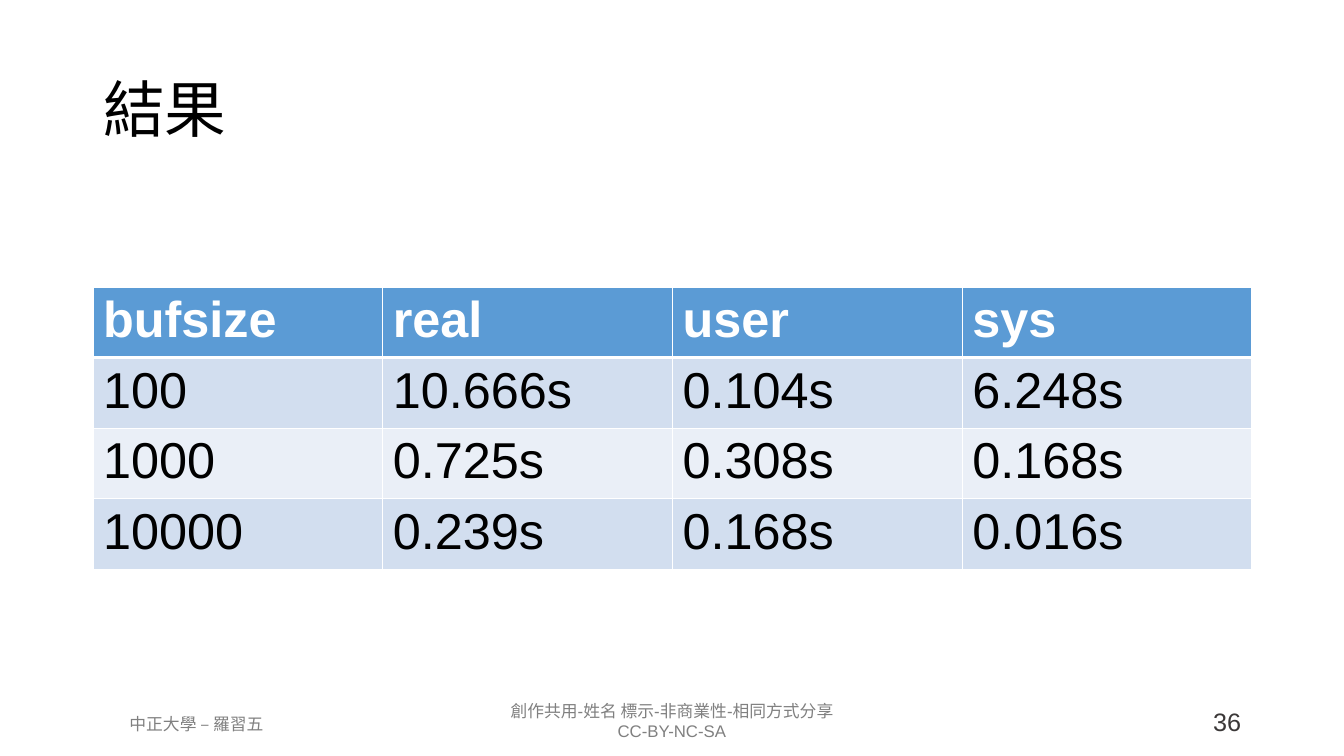
import pptx
import pptx.dml.color
import pptx.enum.text
import pptx.oxml.ns
import pptx.util
from lxml import etree

ALIGN = pptx.enum.text.PP_ALIGN
LATIN, CJK = "Arial", "Noto Sans CJK SC"
WHITE, BLACK = "FFFFFF", "000000"
HEADER_FILL, BAND_FILLS = "5B9BD5", ("D2DEEF", "EAEFF7")

SLIDE_SIZE = (1344, 756)
TITLE = "結果"
TITLE_BOX = (93, 40, 1159, 146)
TIMINGS = [
    ("bufsize", "real", "user", "sys"),
    ("100", "10.666s", "0.104s", "6.248s"),
    ("1000", "0.725s", "0.308s", "0.168s"),
    ("10000", "0.239s", "0.168s", "0.016s"),
]
TABLE_LEFT, TABLE_TOP, TABLE_WIDTH, ROW_HEIGHT = 93, 287, 1159, 66
# text, box, alignment, size in points, colour
FOOTERS = [
    ("創作共用-姓名 標示-非商業性-相同方式分享\nCC-BY-NC-SA",
     (424, 696, 496, 50), ALIGN.CENTER, 12, "808080"),
    ("中正大學 – 羅習五", (70, 709, 253, 30), ALIGN.CENTER, 12, "808080"),
    ("36", (1004, 701, 247, 40), ALIGN.RIGHT, 18, "3B3838"),
]


def px(length):
    return pptx.util.Emu(round(length * 914400 / 100.8))


def color(value):
    return pptx.dml.color.RGBColor.from_string(value)


def add_element(parent, tag, **attributes):
    return etree.SubElement(parent, pptx.oxml.ns.qn(tag), attributes)


def style_text(frame, size, text_color, align=ALIGN.LEFT, bold=False, latin=LATIN):
    for paragraph in frame.paragraphs:
        paragraph.alignment = align
        for run in paragraph.runs:
            run.font.size = pptx.util.Pt(size)
            run.font.bold = bold
            run.font.name = latin
            run.font.color.rgb = color(text_color)
            add_element(run.font._element, "a:ea", typeface=CJK)


def add_borders(cell, is_header, below_header):
    """Draw white cell edges, heavy between the header and the first row."""
    heavy_side = "B" if is_header else "T" if below_header else None
    for side in "LRTB":
        width = pptx.util.Pt(3 if side == heavy_side else 1)
        edge = add_element(cell._tc.get_or_add_tcPr(), f"a:ln{side}", w=str(width))
        add_element(add_element(edge, "a:solidFill"), "a:srgbClr", val=WHITE)


def add_timings(slide):
    rows, columns = len(TIMINGS), len(TIMINGS[0])
    table = slide.shapes.add_table(
        rows, columns, px(TABLE_LEFT), px(TABLE_TOP),
        px(TABLE_WIDTH), px(ROW_HEIGHT * rows)).table
    for r, values in enumerate(TIMINGS):
        is_header = r == 0
        fill = HEADER_FILL if is_header else BAND_FILLS[(r - 1) % 2]
        for c, value in enumerate(values):
            cell = table.cell(r, c)
            cell.text_frame.text = value
            style_text(cell.text_frame, 36, WHITE if is_header else BLACK, bold=is_header)
            add_borders(cell, is_header, r == 1)
            cell.fill.solid()
            cell.fill.fore_color.rgb = color(fill)


def main():
    deck = pptx.Presentation()
    deck.slide_width, deck.slide_height = map(px, SLIDE_SIZE)
    slide = deck.slides.add_slide(deck.slide_layouts.get_by_name("Title Only"))

    title = slide.shapes.title
    title.left, title.top, title.width, title.height = map(px, TITLE_BOX)
    title.text_frame.text = TITLE
    title.text_frame.vertical_anchor = pptx.enum.text.MSO_ANCHOR.MIDDLE
    title.text_frame.paragraphs[0].line_spacing = 0.9
    style_text(title.text_frame, 44, BLACK, latin=CJK)

    for text, box, align, size, text_color in FOOTERS:
        frame = slide.shapes.add_textbox(*map(px, box)).text_frame
        frame.word_wrap = True
        frame.text = text
        style_text(frame, size, text_color, align)

    add_timings(slide)
    deck.save("out.pptx")


if __name__ == "__main__":
    main()
